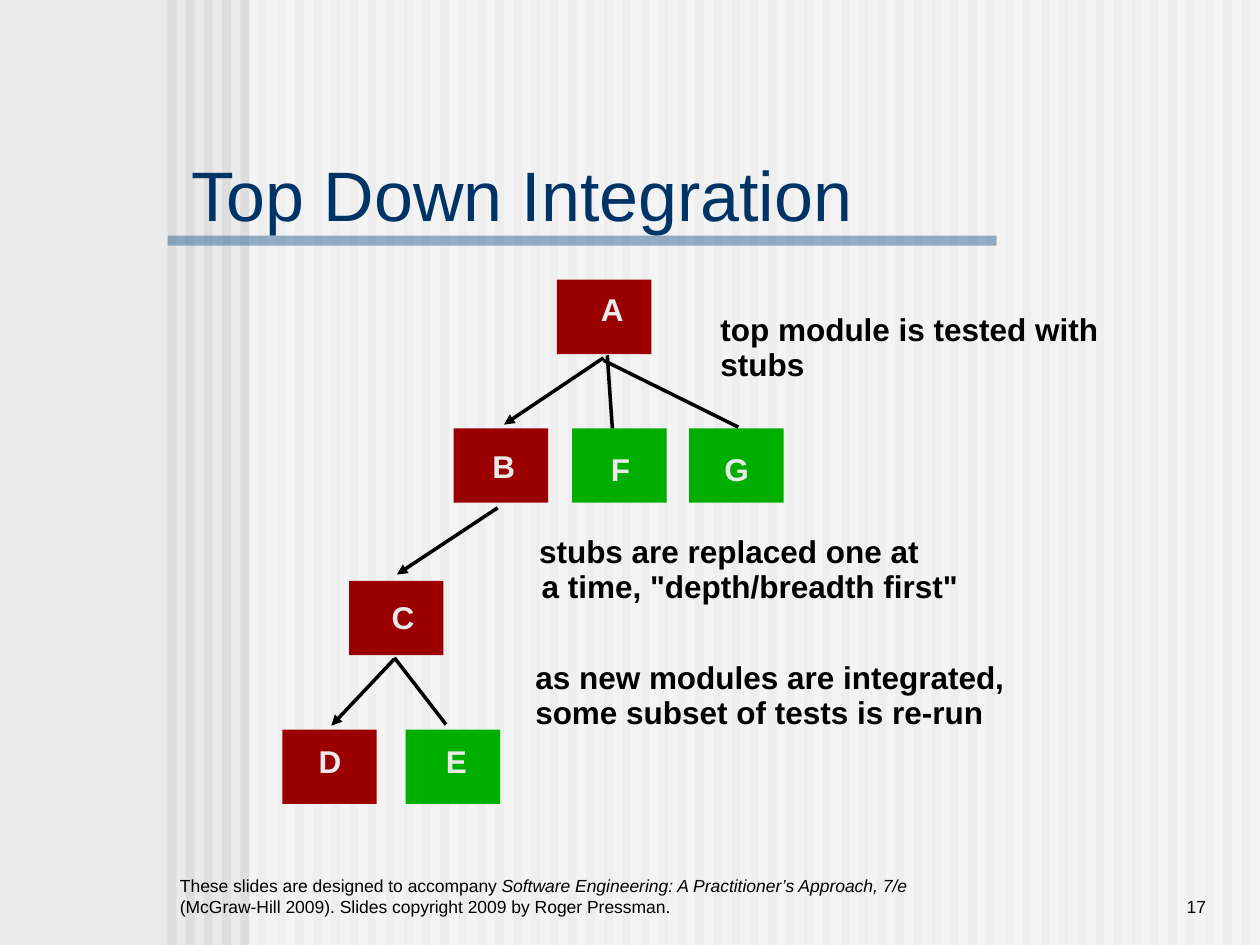
from lxml.etree import SubElement
from pptx import Presentation
from pptx.dml.color import RGBColor
from pptx.enum.shapes import MSO_CONNECTOR, MSO_SHAPE
from pptx.enum.text import MSO_ANCHOR, MSO_AUTO_SIZE, PP_ALIGN
from pptx.oxml.ns import qn
from pptx.util import Inches, Pt

FONT = "Arial"
BLACK, PALE, NAVY, STEEL = "000000", "EAEAEA", "003366", "336699"
STRIPE, WHITE, TESTED, STUB = "DDDDDD", "FFFFFF", "9A0000", "00AE00"
STRIPE_COUNT = 60
LINE_STEP = 0.28

MODULES = [
    ("A", TESTED, (2.18, 0), (0.25, 0.03), 0.38),
    ("B", TESTED, (1.36, 1.18), (0.21, 0.1), 0.38),
    ("C", TESTED, (0.53, 2.39), (0.24, 0.09), 0.38),
    ("D", TESTED, (0, 3.57), (0.19, 0.05), 0.38),
    ("E", STUB, (0.98, 3.57), (0.22, 0.05), 0.37),
    ("F", STUB, (2.3, 1.18), (0.21, 0.12), 0.35),
    ("G", STUB, (3.23, 1.18), (0.18, 0.12), 0.39),
]
LINKS = [
    ((0.89, 3), (1.3, 3.53), False),
    ((2.58, 0.6), (2.62, 1.18), False),
    ((2.55, 0.64), (3.62, 1.17), False),
    ((2.55, 0.62), (1.76, 1.15), True),
    ((1.71, 1.81), (0.91, 2.34), True),
    ((0.89, 3.01), (0.39, 3.54), True),
]
NOTES = [
    (2.41, [("top module is tested with", 5.62, 3.27), ("stubs", 5.62, 0.87)]),
    (4.17, [("stubs are replaced one at", 4.18, 3.28),
            ('a time, "depth/breadth first"', 4.2, 3.51)]),
    (5.17, [("as new modules are integrated,", 4.15, 3.99),
            ("some subset of tests is re-run", 4.15, 3.76)]),
]


def color(hex_text):
    """Turn a hex string into a colour."""
    return RGBColor.from_string(hex_text)


def place(shape, box):
    """Move a shape to a box given in inches."""
    shape.left, shape.top, shape.width, shape.height = map(Inches, box)


def add_run(para, text, size, hex_text, bold=False, italic=False):
    """Append one formatted run to a paragraph."""
    run = para.add_run()
    run.text = text
    run.font.name, run.font.size = FONT, Pt(size)
    run.font.bold, run.font.italic = bold, italic
    run.font.color.rgb = color(hex_text)


def add_text_box(page, box):
    """Add an empty wrapping text box."""
    text_box = page.shapes.add_textbox(*map(Inches, box))
    text_box.text_frame.word_wrap = True
    return text_box.text_frame


def add_label(page, box, text, hex_text):
    """Add one line of bold text that does not wrap."""
    frame = add_text_box(page, box)
    frame.word_wrap = False
    frame.auto_size = MSO_AUTO_SIZE.SHAPE_TO_FIT_TEXT
    add_run(frame.paragraphs[0], text, 18, hex_text, bold=True)


def add_block(page, box, hex_text, alpha=None):
    """Add a flat rectangle, see-through when alpha is given in percent."""
    block = page.shapes.add_shape(MSO_SHAPE.RECTANGLE, *map(Inches, box))
    block.shadow.inherit = False
    block.line.fill.background()
    block.fill.solid()
    block.fill.fore_color.rgb = color(hex_text)
    if alpha is not None:
        shade = block.fill._xPr.find(qn("a:solidFill"))[0]
        SubElement(shade, qn("a:alpha"), val=str(alpha * 1000))


def add_link(page, start, end, arrow):
    """Draw a line between two points, with an arrowhead on request."""
    link = page.shapes.add_connector(
        MSO_CONNECTOR.STRAIGHT, *map(Inches, (*start, *end)))
    link.line.color.rgb = color(BLACK)
    link.line.width = Pt(2)
    if arrow:
        SubElement(link.line._get_or_add_ln(), qn("a:tailEnd"), type="triangle")
    SubElement(link._element.spPr, qn("a:effectLst"))


def draw_backdrop(page, box):
    """Draw the stripes, the white veil and the title rule."""
    left, top, width, height = box
    pitch = (width - 0.15) / (STRIPE_COUNT - 1)
    for index in range(STRIPE_COUNT):
        add_block(page, (left + index * pitch, top, 0.07, height), STRIPE)
    add_block(page, (left + 0.65, top, width - 0.65, height), WHITE, 50)
    add_block(page, (left, top + 1.87, 6.58, 0.08), STEEL, 50)


def fill_title(page, box):
    """Place and fill the title placeholder in front of the backdrop."""
    title = page.shapes.title
    page.shapes._spTree.append(title._element)
    place(title, box)
    frame = title.text_frame
    frame.word_wrap = True
    frame.auto_size = MSO_AUTO_SIZE.NONE
    frame.vertical_anchor = MSO_ANCHOR.MIDDLE
    frame.paragraphs[0].alignment = PP_ALIGN.LEFT
    add_run(frame.paragraphs[0], "Top Down Integration", 40, NAVY)


def draw_footer(page, box):
    """Write the source line and the page number."""
    left, top, width, height = box
    source = add_text_box(page, (left, top, 6, height))
    number = add_text_box(page, (left + width - 1.42, top, 1.42, height))
    source.vertical_anchor = number.vertical_anchor = MSO_ANCHOR.BOTTOM
    para = source.paragraphs[0]
    add_run(para, "These slides are designed to accompany ", 10, BLACK)
    add_run(para, "Software Engineering: A Practitioner’s Approach, 7/e ",
            10, BLACK, italic=True)
    add_run(para, "(McGraw-Hill 2009). Slides copyright 2009 by Roger Pressman.",
            10, BLACK)
    number.paragraphs[0].alignment = PP_ALIGN.RIGHT
    add_run(number.paragraphs[0], "17", 10, BLACK)


def draw_module_tree(page, box):
    """Draw the modules, their letters and the links between them."""
    left, top = box[:2]
    for name, fill, (x, y), (shift_x, shift_y), width in MODULES:
        add_block(page, (left + x, top + y, 0.75, 0.59), fill)
        add_label(page, (left + x + shift_x, top + y + shift_y, width, 0.4),
                  name, PALE)
    for start, end, arrow in LINKS:
        add_link(page, (left + start[0], top + start[1]),
                 (left + end[0], top + end[1]), arrow)


def draw_note(page, top, lines):
    """Write the lines of one note under each other."""
    for index, (text, left, width) in enumerate(lines):
        add_label(page, (left, top + index * LINE_STEP, width, 0.4), text, BLACK)


def main():
    """Build the slide and save it."""
    deck = Presentation()
    deck.slide_width, deck.slide_height = Inches(10), Inches(7.5)
    page = deck.slides.add_slide(deck.slide_layouts[5])
    page.background.fill.solid()
    page.background.fill.fore_color.rgb = color(PALE)
    draw_backdrop(page, (1.33, 0, 8.67, 7.5))
    fill_title(page, (1.42, 1.25, 5.79, 0.57))
    draw_module_tree(page, (2.24, 2.22, 3.98, 4.16))
    for top, lines in NOTES:
        draw_note(page, top, lines)
    draw_footer(page, (1.33, 6.83, 8.34, 0.5))
    deck.save("out.pptx")


if __name__ == "__main__":
    main()
